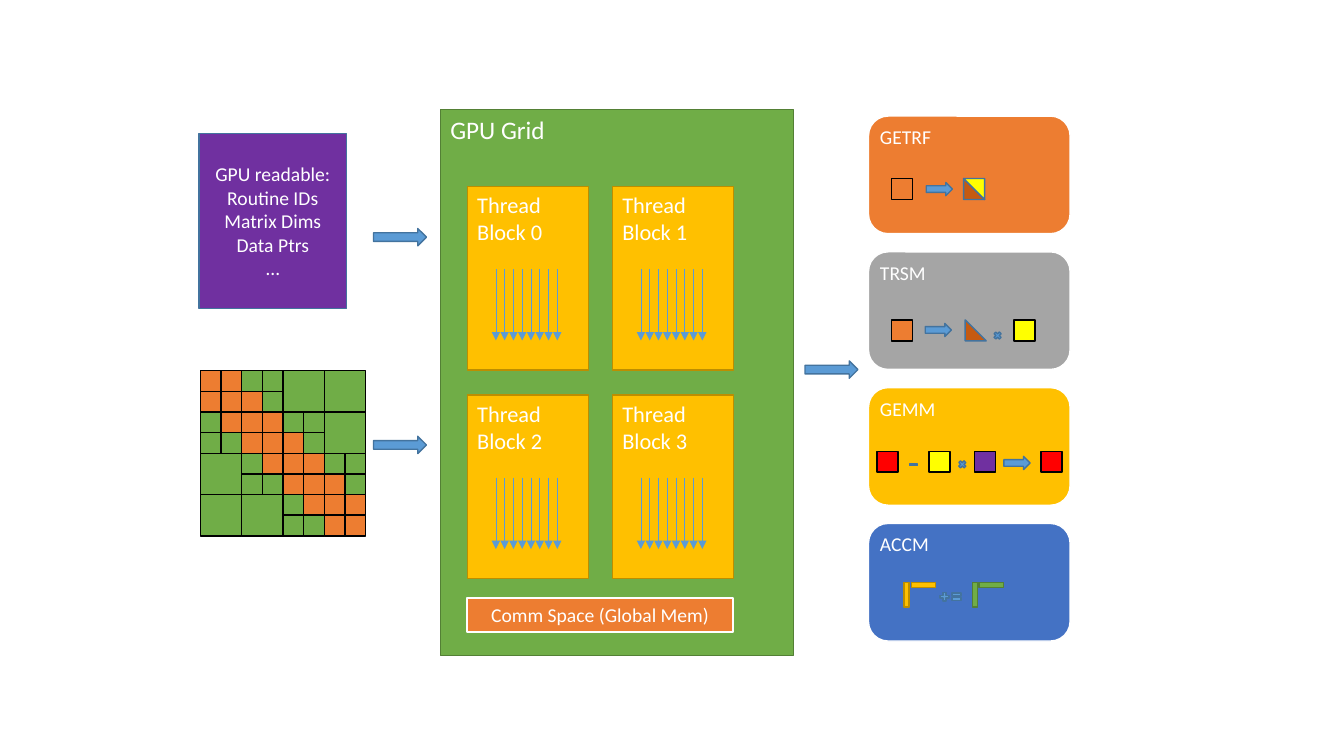
from lxml import etree
from pptx import Presentation
from pptx.dml.color import RGBColor
from pptx.enum import shapes as sh, text as tx
from pptx.oxml import ns
from pptx.util import Pt

FONT = "Calibri"
WHITE, BLACK, BLUE, NAVY = "FFFFFF", "000000", "5B9BD5", "43739E"
ORANGE, GREEN, MOSS, GOLD, OCHRE = "ED7D31", "70AD47", "538035", "FFC000", "BD8E00"
PURPLE, YELLOW, RED, RUST = "7030A0", "FFFF00", "FF0000", "C55A11"
KIND = sh.MSO_SHAPE

INPUT = ["GPU readable:", "Routine IDs", "Matrix Dims", "Data Ptrs", "…"]

# O: dense tile, G: low-rank tile, B: low-rank tile of double size
MATRIX = [
    "OOGGB.B.",
    "OOOG....",
    "GOOOGGB.",
    "GGOOOG..",
    "B.GOOOGG",
    "..GGOOOG",
    "B.B.GOOO",
    "....GGOO",
]
TILES = {"O": (ORANGE, 1), "G": (GREEN, 1), "B": (GREEN, 2)}

FLOWS = [(266.8, 163.2), (266.8, 311.6), (575, 257.8)]

# Symbols: preset, width, height
SIGNS = {
    "box": (KIND.RECTANGLE, 15, 15),
    "tri": (KIND.RIGHT_TRIANGLE, 15, 15),
    "to": (KIND.RIGHT_ARROW, 18.7, 9.4),
    "mul": (KIND.MATH_MULTIPLY, 7.2, 7.2),
    "sub": (KIND.MATH_MINUS, 7.9, 5),
    "add": (KIND.MATH_PLUS, 8.6, 8.6),
    "eq": (KIND.MATH_EQUAL, 8.6, 8.6),
    "col": (KIND.RECTANGLE, 3.6, 17.3),
    "row": (KIND.RECTANGLE, 17.3, 3.6),
}

# Routine, card fill, symbols as (sign, x, y, fill, line, turn) inside the card
CARDS = [
    ("GETRF", ORANGE, [
        ("box", 16.6, 44.6, ORANGE, BLACK, 0),
        ("to", 41.2, 47.5, BLUE, NAVY, 0),
        ("tri", 67.9, 44.6, RUST, NAVY, 0),
        ("tri", 67.9, 44.6, YELLOW, NAVY, 180)]),
    ("TRSM", "A5A5A5", [
        ("tri", 69, 48.6, RUST, NAVY, 0),
        ("box", 16.6, 48.6, ORANGE, BLACK, 0),
        ("mul", 88.6, 56.2, BLUE, NAVY, 0),
        ("to", 40.5, 51.1, BLUE, NAVY, 0),
        ("box", 103.9, 48.6, YELLOW, BLACK, 0)]),
    ("GEMM", GOLD, [
        ("box", 6, 45.4, RED, BLACK, 0),
        ("mul", 63.4, 51.2, BLUE, NAVY, 0),
        ("box", 43.2, 45.4, YELLOW, BLACK, 0),
        ("box", 75.8, 45.4, PURPLE, BLACK, 0),
        ("sub", 28.1, 52.7, BLUE, NAVY, 0),
        ("to", 96.7, 49.1, BLUE, NAVY, 0),
        ("box", 123.3, 45.4, RED, BLACK, 0)]),
    ("ACCM", "4472C4", [
        ("col", 25.2, 42.3, GOLD, OCHRE, 0),
        ("row", 30.5, 42, GOLD, OCHRE, 0),
        ("add", 49.9, 48, BLUE, NAVY, 0),
        ("eq", 58.5, 48, BLUE, NAVY, 0),
        ("col", 74.2, 42.3, GREEN, MOSS, 0),
        ("row", 79, 42, GREEN, MOSS, 0)]),
]


def color(code):
    """Turn a hex string into a colour."""
    return RGBColor.from_string(code)


def write(shape, lines, size=14, align="LEFT", anchor="TOP", inset=None, space=None):
    """Fill a shape with white paragraphs."""
    frame = shape.text_frame
    frame.word_wrap = True
    frame.vertical_anchor = getattr(tx.MSO_ANCHOR, anchor)
    if inset is not None:
        frame.margin_left = frame.margin_right = Pt(inset)
        frame.margin_top = frame.margin_bottom = Pt(inset)
    for i, line in enumerate(lines):
        para = frame.paragraphs[0] if i == 0 else frame.add_paragraph()
        para.alignment = getattr(tx.PP_ALIGN, align)
        para.line_spacing = space
        run = para.add_run()
        run.text = line
        run.font.name, run.font.size = FONT, Pt(size)
        run.font.color.rgb = color(WHITE)


def draw(host, kind, x, y, w, h, fill, line, width=1, turn=0):
    """Add a filled and outlined preset shape."""
    shape = host.add_shape(kind, Pt(x), Pt(y), Pt(w), Pt(h))
    shape.shadow.inherit = False
    shape.fill.solid()
    shape.fill.fore_color.rgb = color(fill)
    shape.line.color.rgb = color(line)
    shape.line.width = Pt(width)
    shape.rotation = turn
    return shape


def thread(host, x, top, end):
    """Add a thin arrow that points down."""
    wire = host.add_connector(sh.MSO_CONNECTOR.STRAIGHT, Pt(x), Pt(top), Pt(x), Pt(end))
    wire.line.color.rgb = color(BLUE)
    wire.line.width = Pt(0.5)
    etree.SubElement(wire.line._get_or_add_ln(), ns.qn("a:tailEnd"), type="triangle")
    etree.SubElement(wire._element.spPr, ns.qn("a:effectLst"))


def matrix(host, left, top, cell):
    """Draw the tiled matrix."""
    for r, row in enumerate(MATRIX):
        for c, mark in enumerate(row):
            if mark in TILES:
                fill, span = TILES[mark]
                draw(host, KIND.RECTANGLE, left + c * cell, top + r * cell,
                     span * cell, span * cell, fill, BLACK)


def block(host, num, x, y):
    """Draw a thread block with its eight threads."""
    box = draw(host, KIND.RECTANGLE, x, y, 86.4, 131, GOLD, OCHRE)
    write(box, [f"Thread Block {num}"], size=16)
    for i in range(8):
        thread(host, x + 20.4 + i * 6.27, y + 59, y + 110)


def card(host, x, y, name, fill, signs):
    """Draw a routine card with its symbols."""
    draw(host, KIND.ROUNDED_RECTANGLE, x, y, 144, 84, fill, WHITE)
    label = host.add_textbox(Pt(x + 4), Pt(y + 4), Pt(136), Pt(76))
    write(label, [name], inset=4.2, space=0.9)
    for sign, dx, dy, tint, line, turn in signs:
        kind, w, h = SIGNS[sign]
        draw(host, kind, x + dx, y + dy, w, h, tint, line, turn=turn)


deck = Presentation()
deck.slide_width, deck.slide_height = Pt(960), Pt(540)
page = deck.slides.add_slide(deck.slide_layouts[6]).shapes


def group():
    """Start a group and return its shapes."""
    return page.add_group_shape().shapes


table = draw(page, KIND.RECTANGLE, 142.2, 95.4, 105.4, 125, PURPLE, NAVY)
write(table, INPUT, align="CENTER", anchor="MIDDLE")
matrix(group(), 143.2, 264.8, 14.75)

grid = draw(page, KIND.RECTANGLE, 314.6, 78.4, 252.2, 390, GREEN, MOSS)
write(grid, ["GPU Grid"], size=18)
for num in range(4):
    block(group(), num, 333.8 + num % 2 * 103.6, 133.2 + num // 2 * 149)
for x, y in FLOWS:
    draw(page, KIND.RIGHT_ARROW, x, y, 37.8, 12.4, BLUE, NAVY)
comm = draw(page, KIND.RECTANGLE, 333.8, 427.2, 189.8, 24, ORANGE, WHITE, width=1.5)
write(comm, ["Comm Space (Global Mem)"], align="CENTER", anchor="MIDDLE")

for i, item in enumerate(CARDS):
    card(group(), 620.4, 82.9 + i * 97, *item)

deck.save("out.pptx")
